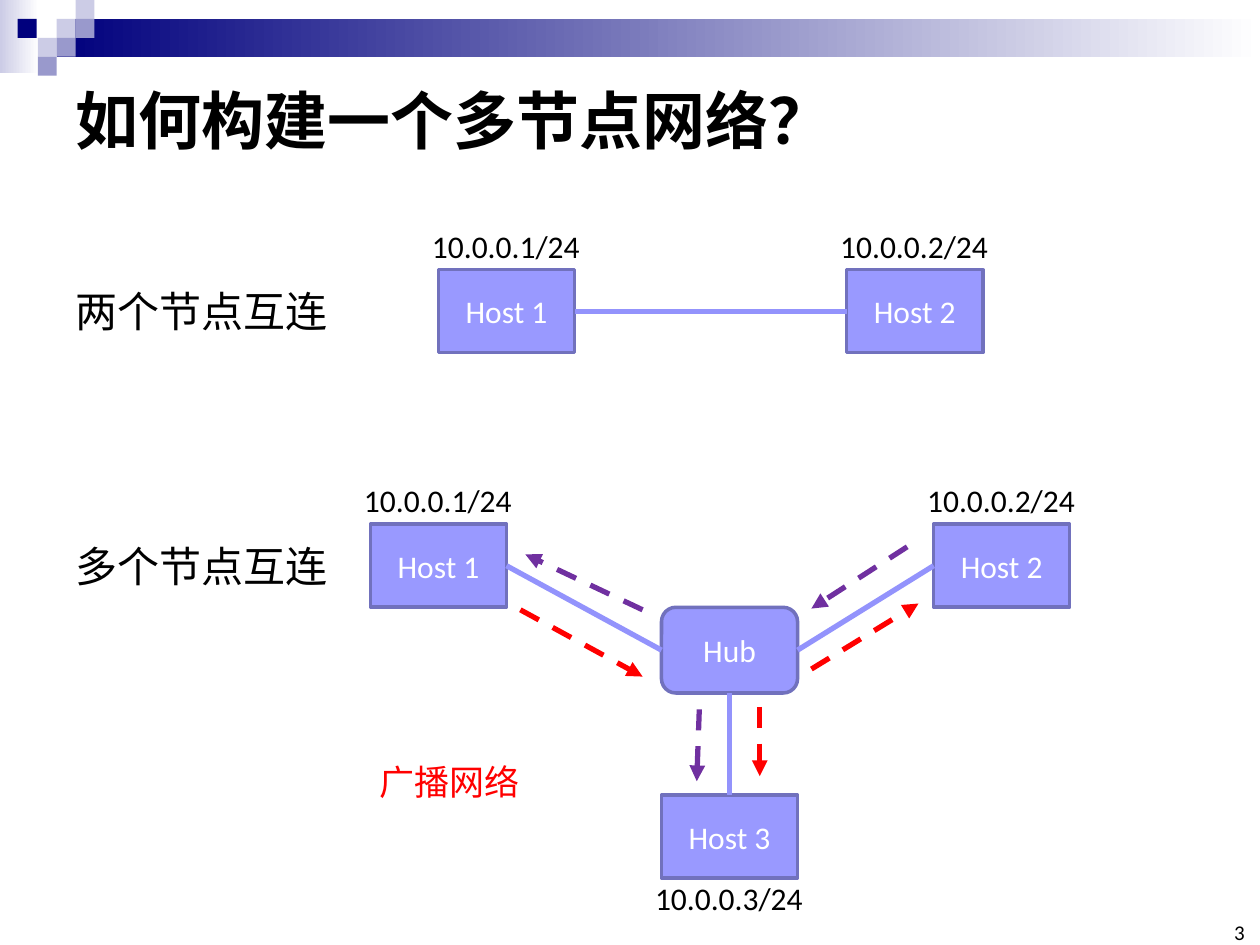
"""Build a slide on how to connect several nodes into one network."""
from typing import NamedTuple

from pptx import Presentation
from pptx.dml.color import RGBColor
from pptx.enum.dml import MSO_LINE
from pptx.enum.shapes import MSO_CONNECTOR, MSO_SHAPE
from pptx.enum.text import MSO_ANCHOR, PP_ALIGN
from pptx.oxml.ns import qn
from pptx.util import Inches, Pt
from lxml import etree

RECT, ROUND = MSO_SHAPE.RECTANGLE, MSO_SHAPE.ROUNDED_RECTANGLE
STRAIGHT, DASH = MSO_CONNECTOR.STRAIGHT, MSO_LINE.DASH
MIDDLE, BOTTOM_ANCHOR = MSO_ANCHOR.MIDDLE, MSO_ANCHOR.BOTTOM
CENTER, ALIGN_RIGHT = PP_ALIGN.CENTER, PP_ALIGN.RIGHT
TOP, LEFT, BOTTOM, RIGHT = range(4)

BLACK = RGBColor(0x00, 0x00, 0x00)
WHITE = RGBColor(0xFF, 0xFF, 0xFF)
NAVY = RGBColor(0x00, 0x00, 0x7D)
PALE = RGBColor(0xCC, 0xCC, 0xE6)
MID = RGBColor(0x99, 0x99, 0xCC)
NODE_FILL = RGBColor(0x99, 0x99, 0xFF)
NODE_EDGE = RGBColor(0x71, 0x71, 0xBD)
LINK = RGBColor(0x93, 0x93, 0xFC)
RED = RGBColor(0xFF, 0x00, 0x00)
PURPLE = RGBColor(0x70, 0x30, 0xA0)

FONT = "Calibri"
NODE_W, HOST_H, HUB_H = 1.08, 0.66, 0.68
TILE = 0.15
ABOVE, BELOW = -0.39, 0.62


class Node(NamedTuple):
    key: str
    name: str
    x: float
    y: float
    address: str = ""
    address_dy: float = ABOVE
    shape: int = RECT
    h: float = HOST_H


class Link(NamedTuple):
    start: str
    start_site: int
    end: str
    end_site: int


class Flow(NamedTuple):
    color: RGBColor
    x1: float
    y1: float
    x2: float
    y2: float


class Label(NamedTuple):
    text: str
    x: float
    y: float
    w: float
    h: float
    size: int
    color: RGBColor = BLACK


BANDS = [(0, 0, 0.31, 0.58, PALE), (0.45, 0.15, 9.55, 0.3, NAVY)]
TILES = [(0.45, 0.15, PALE), (0.6, 0, PALE), (0.6, 0.15, MID), (0.3, 0.3, PALE),
         (0.14, 0.15, NAVY), (0.45, 0.3, MID), (0.3, 0.45, MID)]
NODES = [
    Node("pair 1", "Host 1", 3.48, 2.14, "10.0.0.1/24"),
    Node("pair 2", "Host 2", 6.72, 2.14, "10.0.0.2/24"),
    Node("host 1", "Host 1", 2.94, 4.16, "10.0.0.1/24"),
    Node("host 2", "Host 2", 7.41, 4.16, "10.0.0.2/24"),
    Node("host 3", "Host 3", 5.25, 6.31, "10.0.0.3/24", BELOW),
    Node("hub", "Hub", 5.25, 4.82, shape=ROUND, h=HUB_H),
]
LINKS = [
    Link("pair 2", LEFT, "pair 1", RIGHT),
    Link("host 1", RIGHT, "hub", LEFT),
    Link("hub", RIGHT, "host 2", LEFT),
    Link("hub", BOTTOM, "host 3", TOP),
]
FLOWS = [
    Flow(RED, 4.13, 4.84, 5.1, 5.37),
    Flow(RED, 6.44, 5.31, 7.29, 4.79),
    Flow(RED, 6.03, 5.61, 6.03, 6.16),
    Flow(PURPLE, 7.2, 4.34, 6.44, 4.83),
    Flow(PURPLE, 5.55, 5.63, 5.53, 6.2),
    Flow(PURPLE, 5.1, 4.84, 4.17, 4.4),
]
LABELS = [
    Label("两个节点互连", 0.5, 2.22, 2.22, 0.5, 24),
    Label("多个节点互连", 0.5, 4.24, 2.22, 0.5, 24),
    Label("广播网络", 2.91, 5.99, 1.32, 0.44, 20, RED),
]


def set_text(s, text: str, size: int, color: RGBColor):
    """Write one line of text into a shape and return its text frame."""
    tf = s.text_frame
    tf.text = text
    font = tf.paragraphs[0].runs[0].font
    font.name, font.size, font.color.rgb = FONT, Pt(size), color
    return tf


def add_box(slide, shape: int, x: float, y: float, w: float, h: float, color: RGBColor):
    """Add a filled shape without outline or shadow."""
    s = slide.shapes.add_shape(shape, Inches(x), Inches(y), Inches(w), Inches(h))
    s.shadow.inherit = False
    s.fill.solid()
    s.fill.fore_color.rgb = color
    s.line.fill.background()
    return s


def add_band(slide, x: float, y: float, w: float, h: float, color: RGBColor) -> None:
    """Add a rectangle that fades from a colour to white."""
    fill = add_box(slide, RECT, x, y, w, h, color).fill
    fill.gradient()
    fill.gradient_angle = 0
    for stop, stop_color in zip(fill.gradient_stops, (color, WHITE)):
        stop.color.rgb = stop_color


def add_label(slide, label: Label):
    """Add an unwrapped text box and return its text frame."""
    s = slide.shapes.add_textbox(*map(Inches, (label.x, label.y, label.w, label.h)))
    tf = set_text(s, label.text, label.size, label.color)
    tf.word_wrap = False
    return tf


def add_node(slide, node: Node):
    """Add a host or hub with its address."""
    s = add_box(slide, node.shape, node.x, node.y, NODE_W, node.h, NODE_FILL)
    s.line.color.rgb, s.line.width = NODE_EDGE, Pt(2)
    tf = set_text(s, node.name, 18, WHITE)
    tf.vertical_anchor = MIDDLE
    tf.paragraphs[0].alignment = CENTER
    if node.address:
        add_label(slide, Label(node.address, node.x - 0.15, node.y + node.address_dy, 1.39, 0.4, 18))
    return s


def add_line(slide, color: RGBColor, x1: float = 0, y1: float = 0, x2: float = 0, y2: float = 0):
    """Add a straight connector without shadow."""
    s = slide.shapes.add_connector(STRAIGHT, *map(Inches, (x1, y1, x2, y2)))
    s.line.color.rgb, s.line.width = color, Pt(3)
    etree.SubElement(s._element.spPr, qn("a:effectLst"))
    return s


def add_flow(slide, flow: Flow) -> None:
    """Add a dashed arrow."""
    s = add_line(slide, *flow)
    s.line.dash_style = DASH
    etree.SubElement(s._element.spPr.find(qn("a:ln")), qn("a:tailEnd"), type="triangle")


def build() -> None:
    """Draw the slide and save it."""
    prs = Presentation()
    prs.slide_width, prs.slide_height = Inches(10), Inches(7.5)
    slide = prs.slides.add_slide(prs.slide_layouts[6])
    for band in BANDS:
        add_band(slide, *band)
    for x, y, color in TILES:
        add_box(slide, RECT, x, y, TILE, TILE, color)

    tf = add_label(slide, Label("如何构建一个多节点网络？", 0.5, 0.5, 9, 0.89, 36))
    tf.word_wrap, tf.vertical_anchor = True, MIDDLE
    tf.paragraphs[0].runs[0].font.bold = True

    tf = add_label(slide, Label("3", 9.65, 7.33, 0.23, 0.17, 12))
    tf.margin_left = tf.margin_right = tf.margin_top = tf.margin_bottom = 0
    tf.word_wrap, tf.vertical_anchor = True, BOTTOM_ANCHOR
    tf.paragraphs[0].alignment = ALIGN_RIGHT

    nodes = {node.key: add_node(slide, node) for node in NODES}
    for link in LINKS:
        s = add_line(slide, LINK)
        s.begin_connect(nodes[link.start], link.start_site)
        s.end_connect(nodes[link.end], link.end_site)
    for flow in FLOWS:
        add_flow(slide, flow)
    for label in LABELS:
        add_label(slide, label)
    prs.save("out.pptx")


build()
